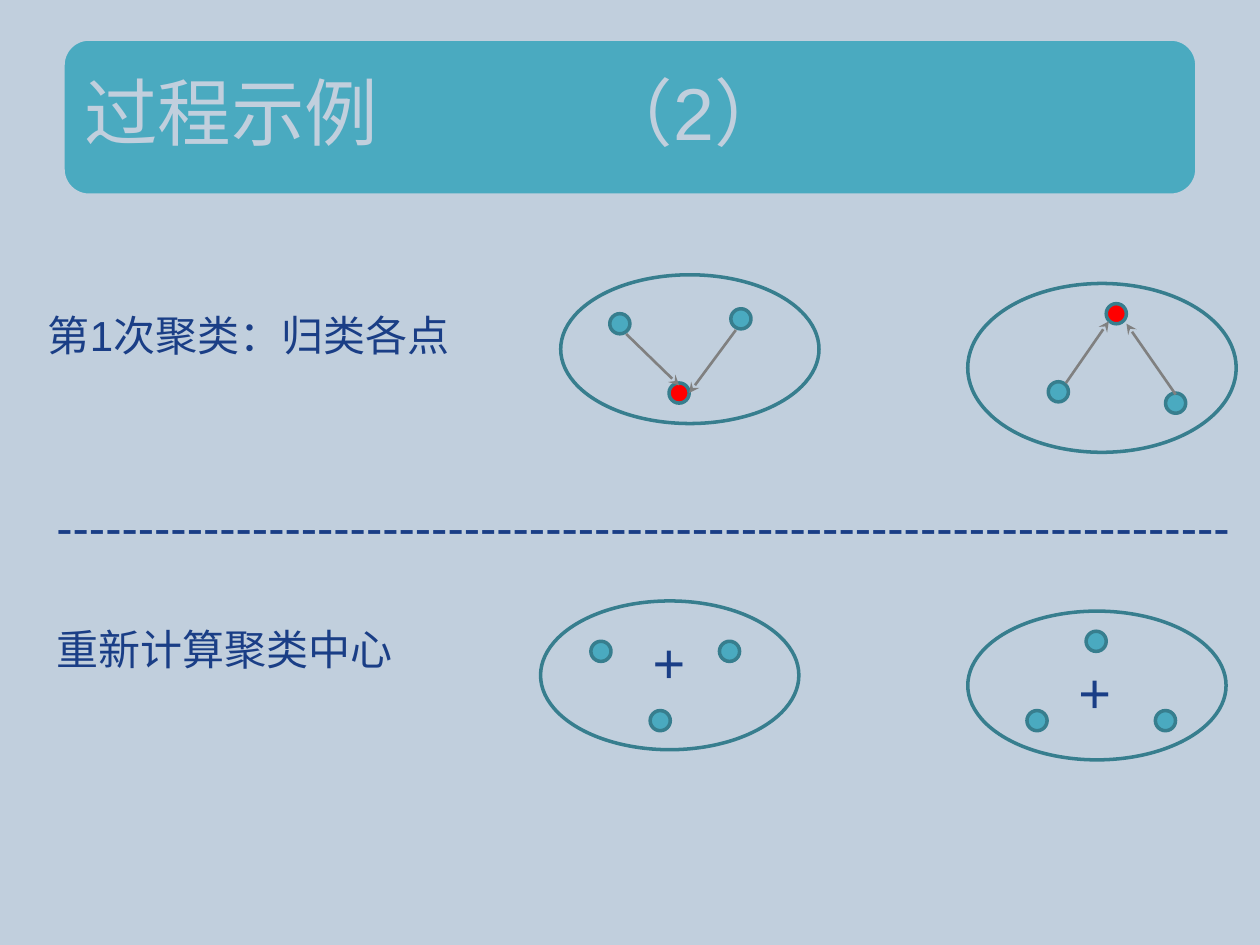
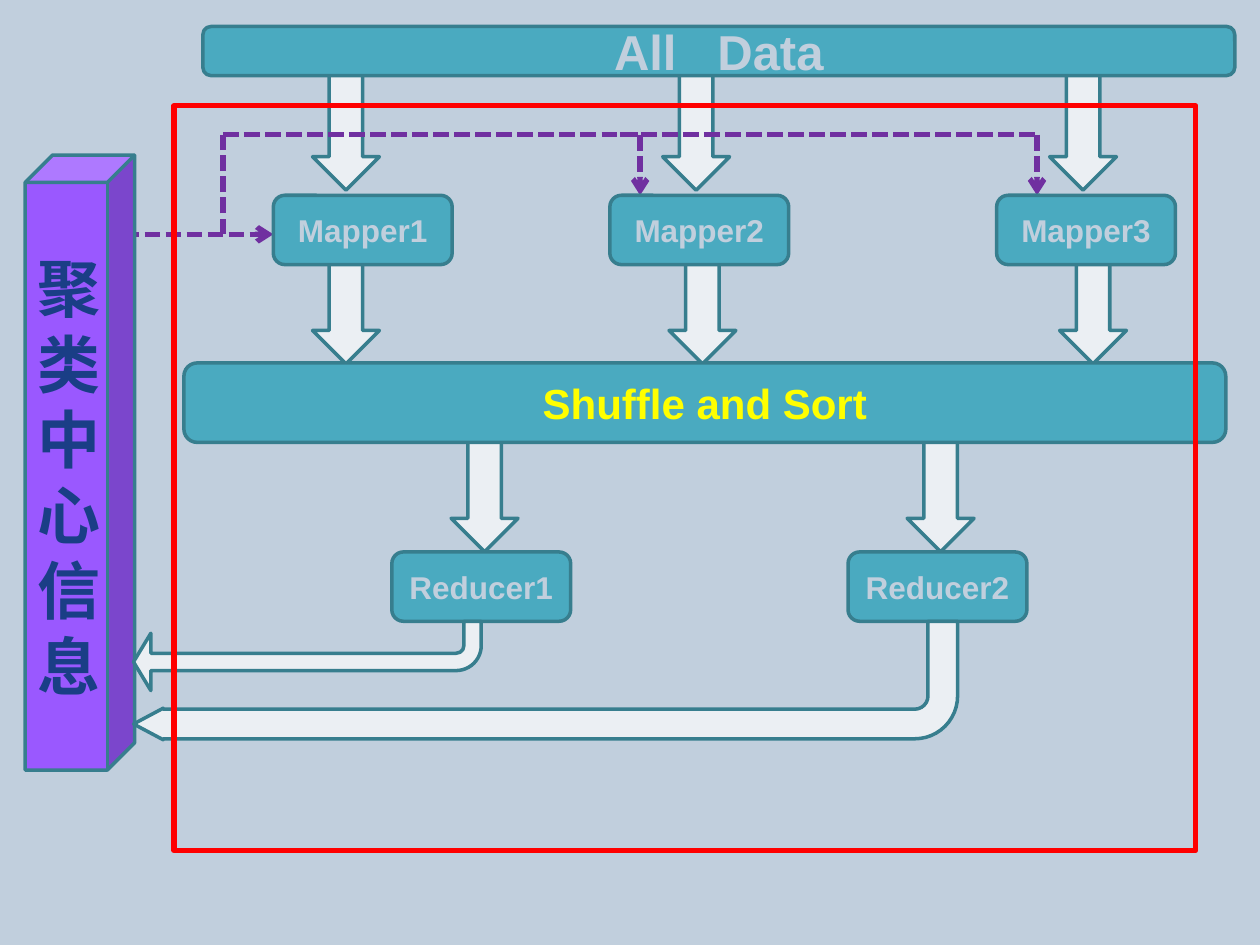
from dataclasses import dataclass
from typing import Optional

from lxml import etree
from pptx import Presentation
from pptx import util as u
from pptx.dml.color import RGBColor
from pptx.enum import dml, shapes, text
from pptx.oxml.ns import qn

Shape = shapes.MSO_SHAPE


@dataclass(frozen=True)
class Theme:
    background: str = "C1CFDD"
    teal: str = "4AAAC0"
    outline: str = "377E8E"
    navy: str = "1A3E86"
    pale: str = "EBEFF3"
    red: str = "FF0000"
    gray: str = "808080"
    purple: str = "7030A0"
    violet: str = "9A58FF"
    yellow: str = "FFFF00"
    font: str = "Arial"
    title_size: float = 42
    character_size: float = 36
    plus_size: float = 32
    large_size: float = 28
    body_size: float = 24
    node_size: float = 18
    outline_width: float = 2


THEME = Theme()


@dataclass(frozen=True)
class Area:
    left: float
    top: float
    width: float
    height: float

    def lengths(self) -> tuple:
        return tuple(u.Pt(n) for n in (self.left, self.top, self.width, self.height))


@dataclass(frozen=True)
class Link:
    start: tuple
    end: tuple
    head: Optional[str] = None


@dataclass(frozen=True)
class Cluster:
    outline: Area
    points: tuple
    center: Optional[tuple] = None
    links: tuple = ()
    plus: Optional[Area] = None


@dataclass(frozen=True)
class Node:
    label: str
    area: Area
    size: float = THEME.node_size
    color: str = THEME.background
    fill: str = THEME.teal
    kind: Shape = Shape.ROUNDED_RECTANGLE


# Drawing helpers
def rgb(color: str) -> RGBColor:
    return RGBColor.from_string(color)


def style_paragraph(paragraph, size: float, color: str, bold: bool = False) -> None:
    paragraph.font.name = THEME.font
    paragraph.font.size = u.Pt(size)
    paragraph.font.bold = bold
    paragraph.font.color.rgb = rgb(color)


def add_figure(slide, kind, area: Area, fill: Optional[str] = None,
               line: str = THEME.outline, width: float = THEME.outline_width):
    shape = slide.shapes.add_shape(kind, *area.lengths())
    shape.shadow.inherit = False
    if fill:
        shape.fill.solid()
        shape.fill.fore_color.rgb = rgb(fill)
    else:
        shape.fill.background()
    shape.line.color.rgb = rgb(line)
    shape.line.width = u.Pt(width)
    return shape


def add_label(slide, words: str, area: Area, size: float, align=text.PP_ALIGN.LEFT) -> None:
    frame = slide.shapes.add_textbox(*area.lengths()).text_frame
    frame.word_wrap = True
    paragraph = frame.paragraphs[0]
    paragraph.text = words
    paragraph.alignment = align
    style_paragraph(paragraph, size, THEME.navy)


def add_link(slide, link: Link, color: str, width: float, dash=None) -> None:
    connector = slide.shapes.add_connector(
        shapes.MSO_CONNECTOR.STRAIGHT, *(u.Pt(n) for n in link.start + link.end))
    connector.line.color.rgb = rgb(color)
    connector.line.width = u.Pt(width)
    if dash:
        connector.line.dash_style = dash
    properties = connector.element.spPr
    if link.head:
        etree.SubElement(properties.find(qn("a:ln")), qn("a:tailEnd"), type=link.head)
    etree.SubElement(properties, qn("a:effectLst"))


def add_node(slide, node: Node):
    shape = add_figure(slide, node.kind, node.area, node.fill)
    shape.text_frame.vertical_anchor = text.MSO_ANCHOR.MIDDLE
    paragraph = shape.text_frame.paragraphs[0]
    paragraph.text = node.label
    paragraph.alignment = text.PP_ALIGN.CENTER
    style_paragraph(paragraph, node.size, node.color, bold=True)
    return paragraph


def add_title(slide, words: str, tab_stop: float) -> None:
    area = Area(36, 22.3, 648, 89.3)
    band = add_figure(slide, Shape.ROUNDED_RECTANGLE, area, THEME.teal, THEME.background)
    title = slide.shapes.title
    title.element.addprevious(band.element)
    title.left, title.top, title.width, title.height = area.lengths()
    frame = title.text_frame
    frame.auto_size = text.MSO_AUTO_SIZE.NONE
    frame.vertical_anchor = text.MSO_ANCHOR.MIDDLE
    frame.margin_left = frame.margin_right = u.Pt(12.2)
    frame.margin_top = frame.margin_bottom = u.Pt(12.2)
    paragraph = frame.paragraphs[0]
    paragraph.text = words
    paragraph.alignment = text.PP_ALIGN.LEFT
    paragraph.line_spacing = 0.9
    tabs = etree.SubElement(paragraph._p.get_or_add_pPr(), qn("a:tabLst"))
    etree.SubElement(tabs, qn("a:tab"), pos=str(u.Pt(tab_stop)), algn="l")
    style_paragraph(paragraph, THEME.title_size, THEME.background)


def add_cluster(slide, cluster: Cluster) -> None:
    diameter = 11.5
    dots = [(point, THEME.teal) for point in cluster.points]
    if cluster.center:
        dots.append((cluster.center, THEME.red))
    for (x, y), fill in dots:
        area = Area(x - diameter / 2, y - diameter / 2, diameter, diameter)
        add_figure(slide, Shape.OVAL, area, fill)
    for link in cluster.links:
        add_link(slide, link, THEME.gray, 1.5)
    add_figure(slide, Shape.OVAL, cluster.outline)
    if cluster.plus:
        add_label(slide, "+", cluster.plus, THEME.plus_size, text.PP_ALIGN.CENTER)


# Slide 1: assigning points, then moving the centers
CLUSTERS = (
    Cluster(Area(320.4, 157, 147.6, 85), ((354.2, 185), (423.4, 182.2)), (388.1, 224.6),
            (Link((357.8, 190.8), (388.1, 220.3), "stealth"),
             Link((420.5, 188.6), (393.8, 224.6), "stealth"))),
    Cluster(Area(553, 162, 153.4, 96.5), ((604.8, 223.9), (671.8, 230.4)), (637.9, 179.3),
            (Link((609.1, 218.9), (633.6, 183.6), "stealth"),
             Link((671.8, 225.4), (643.7, 185), "stealth"))),
    Cluster(Area(308.9, 343.4, 147.6, 85), ((343.4, 372.2), (416.9, 372.2), (377.3, 411.8)),
            plus=Area(365.8, 355, 32.4, 46)),
    Cluster(Area(553, 349.2, 147.6, 85), ((592.6, 411.8), (666, 411.8), (626.4, 366.5)),
            plus=Area(609.1, 372.2, 32.4, 46)),
)


def build_example_slide(presentation) -> None:
    slide = presentation.slides.add_slide(presentation.slide_layouts[5])
    add_title(slide, "过程示例\t（2）", tab_stop=294.5)
    add_label(slide, "第1次聚类：归类各点", Area(20.2, 173.5, 278, 36), THEME.body_size)
    add_label(slide, "-" * 72, Area(25.2, 280, 687, 41), THEME.large_size)
    add_label(slide, "重新计算聚类中心", Area(25.2, 352.8, 232.6, 36), THEME.body_size)
    for cluster in CLUSTERS:
        add_cluster(slide, cluster)


# Slide 2: data flow from mappers to reducers
MAPPER_LEFTS = (156.2, 348.5, 569.5)
REDUCER_LEFTS = (223.9, 484.6)
MAPPER_TOP, REDUCER_TOP = 111.6, 315.4
NODE_WIDTH, NODE_HEIGHT = 102.2, 39.6
ARROW_WIDTH = 38.2

# (top, height, left edges) of each row of block arrows
ARROW_ROWS = (
    (31.7, 77, (178.6, 378.7, 599.8)),
    (145.4, 62.6, (178.6, 382.3, 605.5)),
    (252.7, 62.6, (257.8, 518.4)),
)
BUS_TOP, BUS_LEFT, FEED_TOP = 77, 127.4, 133.9
FEEDBACK_LINKS = (
    Link((70.6, FEED_TOP), (MAPPER_LEFTS[0], FEED_TOP), "arrow"),
    Link((BUS_LEFT, FEED_TOP), (BUS_LEFT, BUS_TOP)),
    Link((BUS_LEFT, BUS_TOP), (365.8, BUS_TOP)),
    Link((365.8, BUS_TOP), (365.8, MAPPER_TOP), "arrow"),
    Link((354.2, BUS_TOP), (592.6, BUS_TOP)),
    Link((592.6, BUS_TOP), (592.6, MAPPER_TOP), "arrow"),
)
# Return arrows from the reducers: area and half-width of the head
RETURN_ARROWS = (
    (Area(76.3, 355, 198.7, 39.6), 0.414),
    (Area(76.3, 355, 470.9, 67.7), 0.133),
)


def add_node_row(slide, name: str, lefts: tuple, top: float) -> None:
    for number, left in enumerate(lefts, 1):
        add_node(slide, Node(f"{name}{number}", Area(left, top, NODE_WIDTH, NODE_HEIGHT)))


def add_data_bar(slide) -> None:
    node = Node("", Area(115.9, 15.1, 589.7, 28.1), THEME.large_size)
    paragraph = add_node(slide, node)
    for word in ("All", " ", "Data"):
        run = paragraph.add_run()
        run.text = word
        if word == " ":
            # Widen the gap by character spacing, in hundredths of a point
            run._r.get_or_add_rPr().set("spc", "1560")


def build_flow_slide(presentation) -> None:
    slide = presentation.slides.add_slide(presentation.slide_layouts[6])
    for top, height, lefts in ARROW_ROWS:
        for left in lefts:
            add_figure(slide, Shape.DOWN_ARROW, Area(left, top, ARROW_WIDTH, height), THEME.pale)
    for link in FEEDBACK_LINKS:
        add_link(slide, link, THEME.purple, 3, dml.MSO_LINE.SQUARE_DOT)

    add_data_bar(slide)
    add_node_row(slide, "Mapper", MAPPER_LEFTS, MAPPER_TOP)
    add_node(slide, Node("聚类中心信息", Area(14.4, 88.6, 62.6, 351.4), THEME.character_size,
                         THEME.navy, THEME.violet, Shape.CUBE))
    add_node(slide, Node("Shuffle and Sort", Area(105.1, 207.4, 595.4, 45.4),
                         THEME.body_size, THEME.yellow))
    add_node_row(slide, "Reducer", REDUCER_LEFTS, REDUCER_TOP)

    for area, head in RETURN_ARROWS:
        arrow = add_figure(slide, Shape.BENT_ARROW, area, THEME.pale)
        arrow.rotation = 180
        for index, value in enumerate((0.25, head, 0.25, 0.362)):
            arrow.adjustments[index] = value
    add_figure(slide, Shape.RECTANGLE, Area(99.4, 60.5, 583.9, 425.5), line=THEME.red, width=3)


def main() -> None:
    presentation = Presentation()
    presentation.slide_width, presentation.slide_height = u.Pt(720), u.Pt(540)
    background = presentation.slide_master.background.fill
    background.solid()
    background.fore_color.rgb = rgb(THEME.background)
    build_example_slide(presentation)
    build_flow_slide(presentation)
    presentation.save("out.pptx")


if __name__ == "__main__":
    main()
